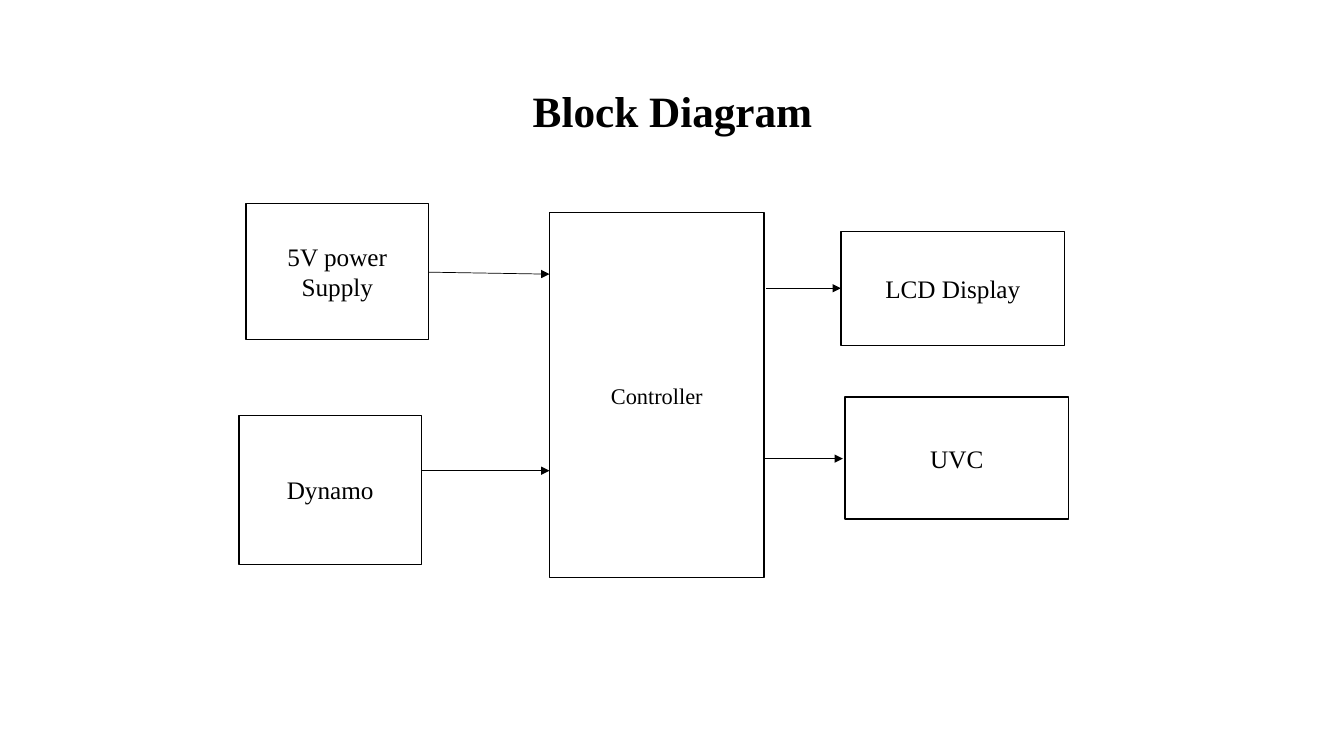
from lxml.etree import SubElement
from pptx import Presentation
from pptx.dml.color import RGBColor
from pptx.enum.shapes import MSO_CONNECTOR, MSO_SHAPE
from pptx.enum.text import MSO_ANCHOR, PP_ALIGN
from pptx.oxml.ns import qn
from pptx.util import Pt

PX = 9144
BLACK = "000000"
WHITE = "FFFFFF"


def color(hex_code):
    return RGBColor.from_string(hex_code)


def write(shape, text, size, bold=False):
    frame = shape.text_frame
    frame.text = text
    frame.word_wrap = True
    frame.vertical_anchor = MSO_ANCHOR.MIDDLE
    para = frame.paragraphs[0]
    para.alignment = PP_ALIGN.CENTER
    para.font.name = "Times New Roman"
    para.font.size = Pt(size)
    para.font.bold = bold
    para.font.color.rgb = color(BLACK)
    return para


deck = Presentation()
deck.slide_width = 1333 * PX
deck.slide_height = 750 * PX
page = deck.slides.add_slide(deck.slide_layouts[5])

title = page.shapes.title
title.left, title.top, title.width, title.height = [n * PX for n in (92, 40, 1150, 145)]
write(title, "Block Diagram", 30.9, bold=True).line_spacing = 0.9

blocks = [
    ("Controller", 16, 545, 211, 213, 362),
    ("Dynamo", 18, 237, 412, 181, 148),
    ("LCD Display", 18, 834, 230, 222, 113),
    ("UVC", 18, 838, 394, 222, 121),
    ("5V power Supply", 18, 244, 202, 181, 135),
]
for label, size, *place in blocks:
    box = page.shapes.add_shape(MSO_SHAPE.RECTANGLE, *[n * PX for n in place])
    box.shadow.inherit = False
    box.fill.solid()
    box.fill.fore_color.rgb = color(WHITE)
    box.line.color.rgb = color(BLACK)
    box.line.width = Pt(1)
    write(box, label, size)

arrows = [
    (419, 467, 545, 467),
    (760, 286, 834, 286),
    (758, 455, 836, 455),
    (425, 270, 545, 272),
]
for ends in arrows:
    arrow = page.shapes.add_connector(MSO_CONNECTOR.STRAIGHT, *[n * PX for n in ends])
    arrow.line.color.rgb = color(BLACK)
    arrow.line.width = Pt(0.5)
    properties = arrow.element.spPr
    SubElement(properties.find(qn("a:ln")), qn("a:tailEnd"), type="triangle")
    SubElement(properties, qn("a:effectLst"))

deck.save("out.pptx")
